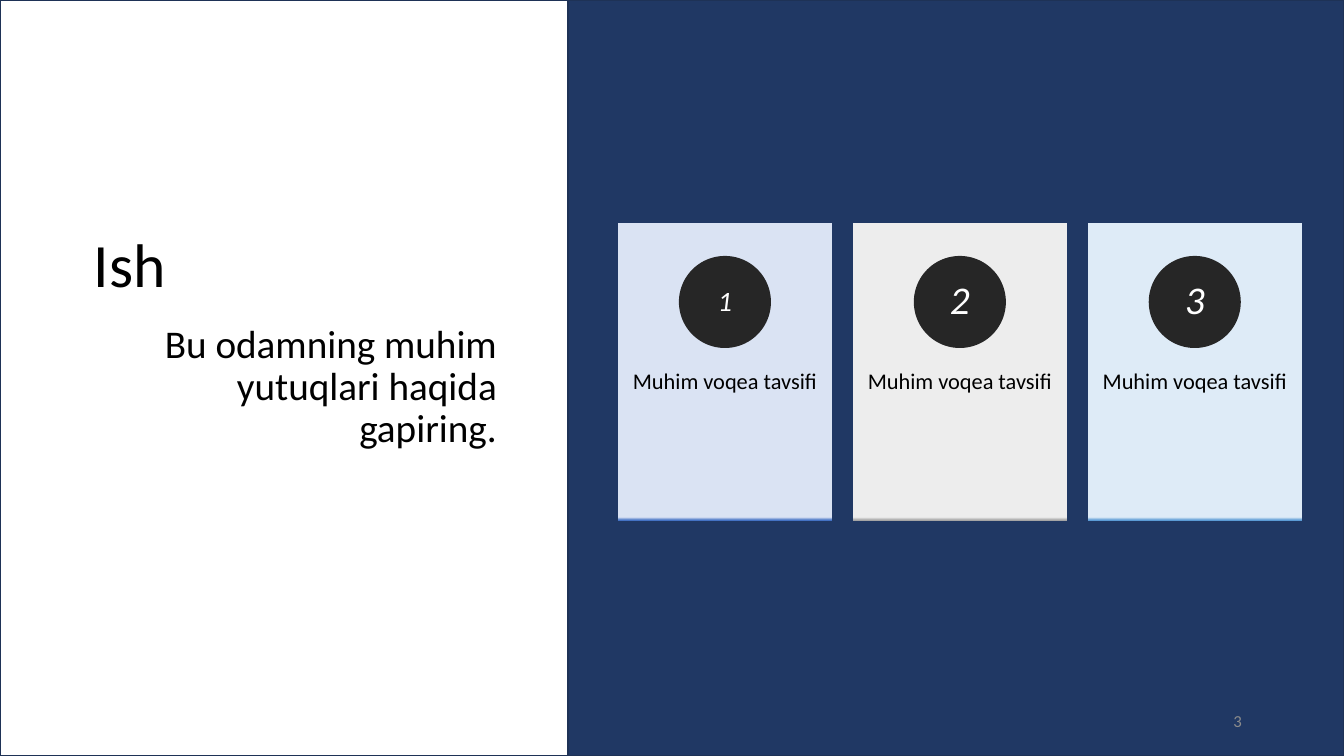
from copy import deepcopy
from pptx import Presentation
from pptx.dml.color import RGBColor
from pptx.enum import shapes, text
from pptx.util import Cm, Pt

WHITE = RGBColor(0xFF, 0xFF, 0xFF)
BLACK = RGBColor(0, 0, 0)
NAVY = RGBColor(0x20, 0x38, 0x64)
EDGE = RGBColor(0x1E, 0x32, 0x56)
DARK = RGBColor(0x26, 0x26, 0x26)
GRAY = RGBColor(0x8C, 0x8C, 0x8C)
CARDS = [
    (RGBColor(0xDA, 0xE3, 0xF3), RGBColor(0x44, 0x72, 0xC4), 20),
    (RGBColor(0xED, 0xED, 0xED), RGBColor(0xA5, 0xA5, 0xA5), 28),
    (RGBColor(0xDE, 0xEB, 0xF7), RGBColor(0x5B, 0x9B, 0xD5), 28),
]
RECT = shapes.MSO_SHAPE.RECTANGLE
OVAL = shapes.MSO_SHAPE.OVAL
LEFT, CENTER, RIGHT = text.PP_ALIGN.LEFT, text.PP_ALIGN.CENTER, text.PP_ALIGN.RIGHT
TOP, MIDDLE, BOTTOM = text.MSO_ANCHOR.TOP, text.MSO_ANCHOR.MIDDLE, text.MSO_ANCHOR.BOTTOM


def write(shape, words, size, color=BLACK, align=LEFT, anchor=TOP,
          space=0.9, italic=False, inset=None):
    frame = shape.text_frame
    frame.word_wrap = True
    frame.auto_size = text.MSO_AUTO_SIZE.NONE
    frame.vertical_anchor = anchor
    if inset is not None:
        frame.margin_left = frame.margin_right = frame.margin_bottom = 0
        frame.margin_top = inset
    para = frame.paragraphs[0]
    para.alignment = align
    para.line_spacing = space
    para.space_before = Pt(0)
    run = para.add_run()
    run.text = words
    run.font.name = "Calibri"
    run.font.size = Pt(size)
    run.font.italic = italic
    run.font.color.rgb = color


def draw(kind, left, top, width, height, fill=None, line=None):
    shape = slide.shapes.add_shape(kind, Cm(left), Cm(top), Cm(width), Cm(height))
    shape.shadow.inherit = False
    if fill is not None:
        shape.fill.solid()
        shape.fill.fore_color.rgb = fill
    if line is None:
        shape.line.fill.background()
    else:
        shape.line.color.rgb = line
        shape.line.width = Pt(1)
    return shape


deck = Presentation()
deck.slide_width = Cm(33.87)
deck.slide_height = Cm(19.05)
slide = deck.slides.add_slide(deck.slide_layouts[5])

split = 14.32
draw(RECT, 0, 0, split, 19.05, WHITE, EDGE)
draw(RECT, split, 0, 33.87 - split, 19.05, NAVY, EDGE)

title = slide.shapes.title
title.left, title.top, title.width, title.height = Cm(2.11), Cm(1.55), Cm(10.65), Cm(6.17)
write(title, "Ish", 44, anchor=BOTTOM)
slide.shapes._spTree.append(title._element)

body = slide.shapes.add_textbox(Cm(2.11), Cm(8.05), Cm(10.66), Cm(7.92))
write(body, "Bu odamning muhim yutuqlari haqida gapiring.", 28, align=RIGHT)

wide, disc, step = 5.4, 2.32, 5.92
for i, (pale, deep, size) in enumerate(CARDS):
    left = 15.57 + i * step
    card = draw(RECT, left, 5.61, wide, 7.5)
    card.fill.gradient()
    card.fill.gradient_angle = 270
    first, last = card.fill.gradient_stops
    first.color.rgb, last.color.rgb = pale, deep
    stops = card._element.spPr.find(".//{*}gsLst")
    stops.insert(1, deepcopy(stops[0]))
    card.fill.gradient_stops[1].position = 0.99
    write(card, "Muhim voqea tavsifi", 16, align=CENTER, inset=Cm(3.71))

    badge = draw(OVAL, left + (wide - disc) / 2, 6.45, disc, disc, DARK)
    write(badge, str(i + 1), size, WHITE, CENTER, MIDDLE, italic=True, inset=0)

number = slide.shapes.add_textbox(Cm(23.93), Cm(17.66), Cm(7.62), Cm(1.01))
write(number, "3", 12, GRAY, RIGHT, MIDDLE, space=1)

deck.save("out.pptx")
